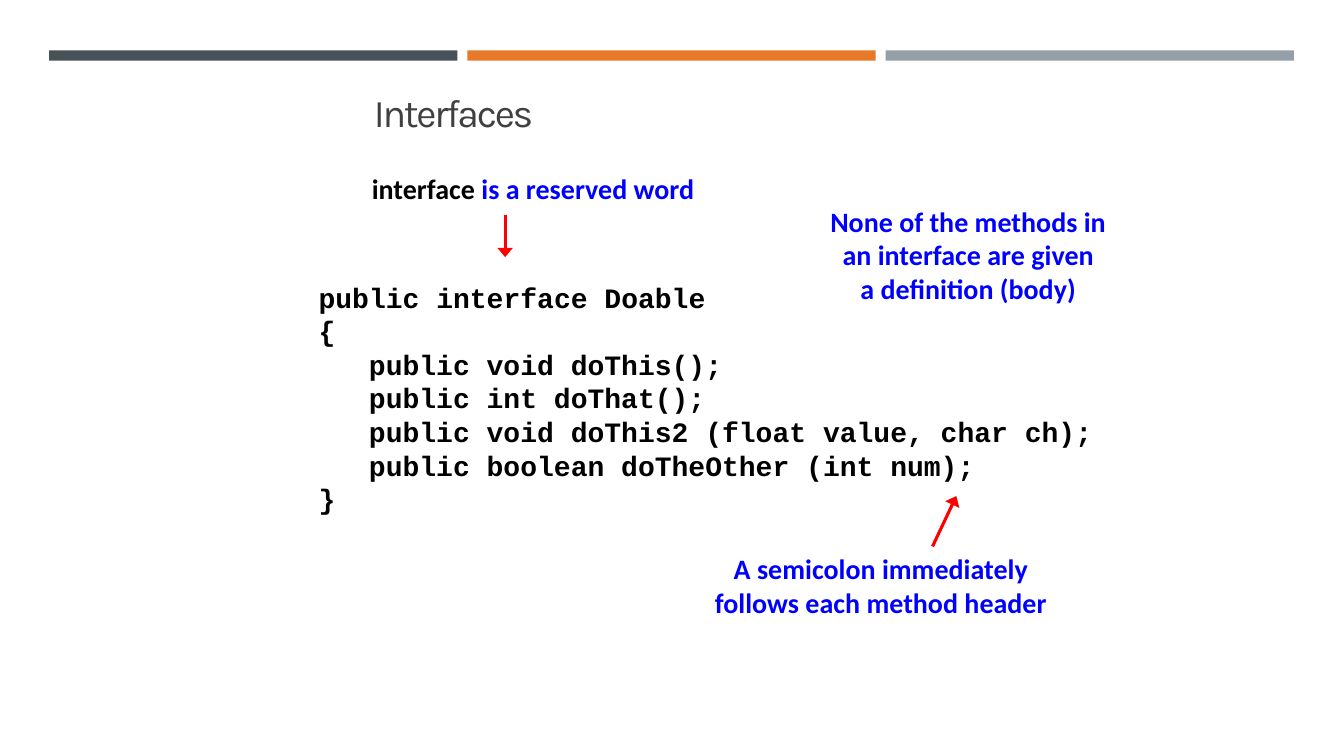
"""Build the slide on Java interfaces: a code sample with three annotations."""
from lxml import etree
from pptx import Presentation
from pptx.dml.color import RGBColor
from pptx.enum.shapes import MSO_CONNECTOR, MSO_SHAPE
from pptx.enum.text import MSO_ANCHOR, MSO_AUTO_SIZE, PP_ALIGN
from pptx.oxml.ns import qn
from pptx.util import Cm, Pt

RECTANGLE = MSO_SHAPE.RECTANGLE
STRAIGHT = MSO_CONNECTOR.STRAIGHT
TOP = MSO_ANCHOR.TOP
NO_AUTOFIT = MSO_AUTO_SIZE.NONE
LEFT = PP_ALIGN.LEFT
CENTER = PP_ALIGN.CENTER

BLACK = RGBColor(0x00, 0x00, 0x00)
BLUE = RGBColor(0x00, 0x00, 0xFF)
RED = RGBColor(0xFF, 0x00, 0x00)
CHARCOAL = RGBColor(0x40, 0x40, 0x40)
SLATE = RGBColor(0x46, 0x52, 0x57)
ORANGE = RGBColor(0xE7, 0x79, 0x29)
GREY = RGBColor(0x94, 0x9F, 0xA7)

TITLE_FONT = {"name": "Karla", "size": Pt(28), "bold": False}
CODE_FONT = {"name": "Courier New", "size": Pt(20), "bold": True}
NOTE_FONT = {"name": "Calibri", "size": Pt(20), "bold": True}
FRAME = {"margin_left": 0, "margin_right": 0, "margin_top": 0, "margin_bottom": 0,
         "word_wrap": True, "auto_size": NO_AUTOFIT, "vertical_anchor": TOP}

BAR_COLORS = (SLATE, ORANGE, GREY)
BAR_PITCH = 10.54
CODE_INDENT = 1.27
CODE_LINES = (
    (0, "public interface Doable"),
    (0, "{"),
    (1, "public void doThis();"),
    (1, "public int doThat();"),
    (1, "public void doThis2 (float value, char ch);"),
    (1, "public boolean doTheOther (int num);"),
    (0, "}"),
)
RESERVED_WORD = ((("interface ", BLACK), ("is a reserved word", BLUE)),)
NO_BODY = (
    (("None of the methods in", BLUE),),
    (("an interface are given", BLUE),),
    (("a definition (body)", BLUE),),
)
SEMICOLON = (
    (("A semicolon immediately", BLUE),),
    (("follows each method header", BLUE),),
)


def apply(target, values):
    """Set every attribute in values on target."""
    for attribute, value in values.items():
        setattr(target, attribute, value)


class InterfaceSlide:
    """Holds the current slide and draws its elements, with lengths in cm."""

    def __init__(self, deck):
        """Add a title-only slide to the deck."""
        self.slide = deck.slides.add_slide(deck.slide_layouts[5])

    def run(self, paragraph, text, font, color):
        """Append a formatted run."""
        piece = paragraph.add_run()
        piece.text = text
        apply(piece.font, font)
        piece.font.color.rgb = color
        return piece

    def indent(self, paragraph, length):
        """Set the left margin of a paragraph."""
        paragraph._p.get_or_add_pPr().set("marL", str(Cm(length)))

    def title(self, text):
        """Place and fill the title placeholder."""
        heading = self.slide.shapes.title
        apply(heading, {"left": Cm(1.14), "top": Cm(1.73),
                        "width": Cm(29.62), "height": Cm(2.44)})
        apply(heading.text_frame, {**FRAME, "margin_top": Cm(0.5)})
        paragraph = heading.text_frame.paragraphs[0]
        paragraph.alignment = LEFT
        self.indent(paragraph, 8.28)
        piece = self.run(paragraph, text, TITLE_FONT, CHARCOAL)
        piece.font._element.set("spc", "-160")

    def bar(self, left, color):
        """Draw one bar of the header band."""
        band = self.slide.shapes.add_shape(
            RECTANGLE, Cm(left), Cm(1.27), Cm(10.29), Cm(0.26))
        band.shadow.inherit = False
        band.fill.solid()
        band.fill.fore_color.rgb = color
        band.line.fill.background()

    def paragraphs(self, left, top, width, height, count):
        """Add a text box and return its paragraphs."""
        frame = self.slide.shapes.add_textbox(
            Cm(left), Cm(top), Cm(width), Cm(height)).text_frame
        apply(frame, FRAME)
        for _ in range(count - 1):
            frame.add_paragraph()
        return frame.paragraphs

    def code(self, left, top, width, height, lines):
        """Write code lines given as (indent level, text)."""
        rows = self.paragraphs(left, top, width, height, len(lines))
        for paragraph, (level, text) in zip(rows, lines):
            paragraph.line_spacing = Pt(24)
            self.indent(paragraph, level * CODE_INDENT)
            self.run(paragraph, text, CODE_FONT, BLACK)

    def note(self, left, top, width, height, lines, alignment=CENTER):
        """Write an annotation whose lines are (text, colour) pairs."""
        rows = self.paragraphs(left, top, width, height, len(lines))
        for paragraph, pieces in zip(rows, lines):
            paragraph.alignment = alignment
            for text, color in pieces:
                self.run(paragraph, text, NOTE_FONT, color)

    def arrow(self, x1, y1, x2, y2):
        """Draw a red arrow pointing at its second end."""
        pointer = self.slide.shapes.add_connector(
            STRAIGHT, Cm(x1), Cm(y1), Cm(x2), Cm(y2))
        pointer.line.color.rgb = RED
        pointer.line.width = Pt(2.25)
        etree.SubElement(pointer.line._get_or_add_ln(), qn("a:tailEnd"),
                         type="triangle", w="lg", len="med")
        etree.SubElement(pointer._element.spPr, qn("a:effectLst"))


def main():
    """Create the deck and save it."""
    deck = Presentation()
    apply(deck, {"slide_width": Cm(33.87), "slide_height": Cm(19.05)})
    page = InterfaceSlide(deck)
    for column, color in enumerate(BAR_COLORS):
        page.bar(1.24 + column * BAR_PITCH, color)
    page.title("Interfaces")
    page.code(8.03, 7.06, 20.5, 5.95, CODE_LINES)
    page.note(9.37, 4.32, 9, 0.9, RESERVED_WORD, LEFT)
    page.note(20.4, 5.15, 8, 2.6, NO_BODY)
    page.note(17.7, 13.9, 9, 1.75, SEMICOLON)
    page.arrow(12.73, 5.41, 12.73, 6.48)
    page.arrow(23.5, 13.77, 24.1, 12.5)
    deck.save("out.pptx")


if __name__ == "__main__":
    main()
